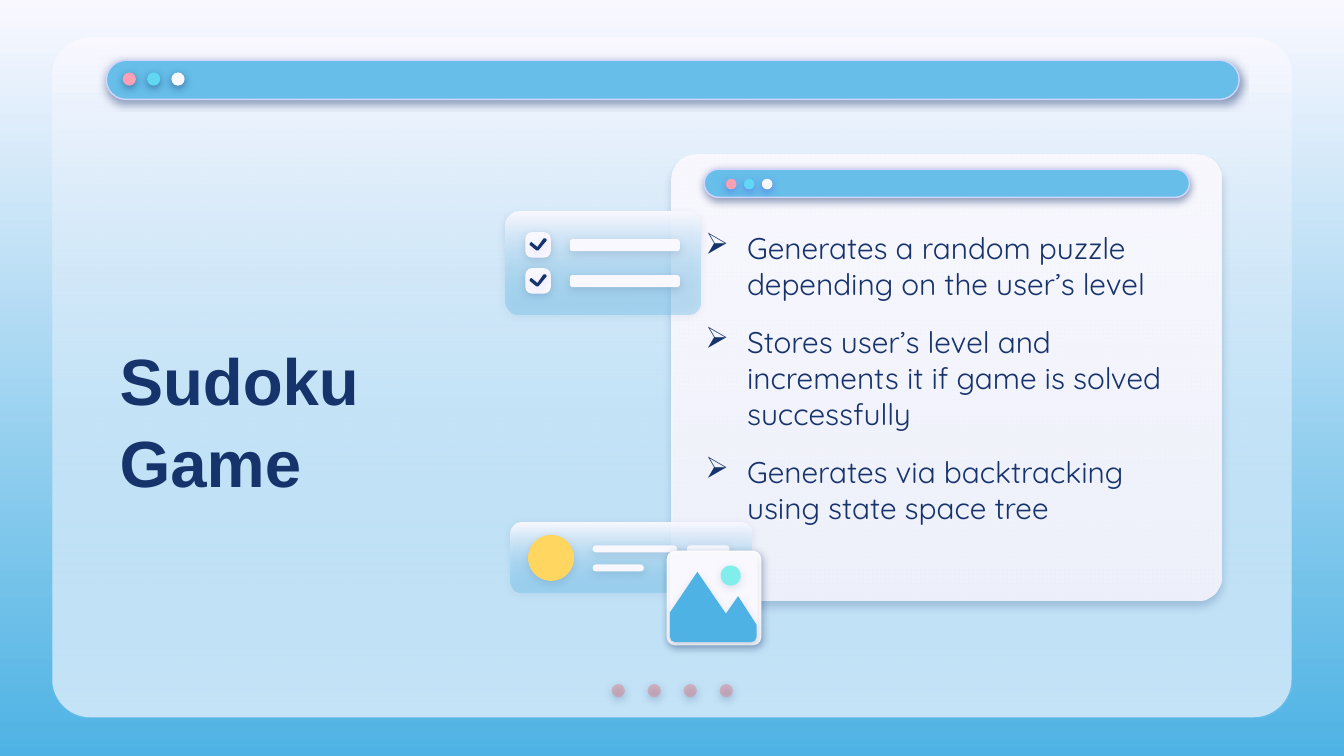
from collections import namedtuple

from lxml import etree
from pptx import Presentation
from pptx import util as u
from pptx.dml.color import RGBColor
from pptx.enum import shapes, text
from pptx.oxml import ns

NAVY = RGBColor(0x17, 0x33, 0x6B)
INDIGO = RGBColor(0x53, 0x52, 0xEE)
BLUE = RGBColor(0x66, 0xBE, 0xE9)
DEEP_BLUE = RGBColor(0x4E, 0xB3, 0xE4)
CYAN = RGBColor(0x60, 0xD8, 0xF4)
AQUA = RGBColor(0x81, 0xEE, 0xEB)
LAVENDER = RGBColor(0xD2, 0xD6, 0xFF)
PALE = RGBColor(0xF9, 0xF8, 0xFF)
WHITE = RGBColor(0xFF, 0xFF, 0xFF)
PINK = RGBColor(0xFD, 0xA0, 0xB4)
ROSE = RGBColor(0xE2, 0x7B, 0x83)
YELLOW = RGBColor(0xFF, 0xD6, 0x5F)

ROUND = shapes.MSO_SHAPE.ROUNDED_RECTANGLE
OVAL = shapes.MSO_SHAPE.OVAL
Box = namedtuple("Box", "left top width height")
TICK = [(0.38, 0.13), (0.35, 0.13), (0.23, 0.3), (0.11, 0.2),
        (0.09, 0.23), (0.21, 0.33), (0.24, 0.33), (0.39, 0.15)]
MOUNTAINS = [(0.58, 0.4), (0.06, 1.17), (0.06, 1.63), (0.09, 1.7), (0.16, 1.73), (1.6, 1.73),
             (1.67, 1.7), (1.7, 1.63), (1.7, 1.4), (1.35, 0.86), (1.12, 1.19)]
FEATURES = [
    "Generates a random puzzle depending on the user’s level",
    "Stores user’s level and increments it if game is solved successfully",
    "Generates via backtracking using state space tree",
]


def apply(target, values):
    """Set each named attribute of the target."""
    for name, value in values.items():
        setattr(target, name, value)


def add_node(parent, tag, **attributes):
    """Append a drawing element with the given attributes."""
    node = etree.SubElement(parent, ns.qn(tag))
    for name, value in attributes.items():
        node.set(name, str(value))
    return node


def inside(box, left, top, width, height):
    """Return a box placed relative to another one."""
    return Box(box.left + left, box.top + top, width, height)


def fade(fill, start, end):
    """Fill from top to bottom with two colours."""
    fill.gradient()
    fill.gradient_angle = 270
    for stop, colour in zip(fill.gradient_stops, (start, end)):
        stop.color.rgb = colour


def style(shape, colours, alpha=100, line=None, glow=NAVY, strength=15, distance=1.5, angle=90):
    """Give a shape its fill, outline and shadow."""
    if len(colours) == 2:
        fade(shape.fill, *colours)
    else:
        shape.fill.solid()
        shape.fill.fore_color.rgb = colours[0]
    if alpha < 100:
        last = list(shape._element.spPr.iter(ns.qn("a:srgbClr")))[-1]
        add_node(last, "a:alpha", val=alpha * 1000)
    if line is None:
        shape.line.fill.background()
    else:
        shape.line.color.rgb = line
        shape.line.width = u.Pt(0.75)
    shape.shadow.inherit = False
    if strength:
        effects = shape._element.spPr.find(ns.qn("a:effectLst"))
        shadow = add_node(effects, "a:outerShdw", blurRad=u.Pt(4.5), dist=u.Pt(distance),
                          dir=angle * 60000, algn="bl", rotWithShape=0)
        colour = add_node(shadow, "a:srgbClr", val=glow)
        add_node(colour, "a:alpha", val=strength * 1000)


def add_shape(page, kind, box, *colours, corner=None, **look):
    """Draw one styled preset shape."""
    shape = page.shapes.add_shape(kind, *map(u.Cm, box))
    if corner is not None:
        shape.adjustments[0] = corner
    style(shape, colours, **look)


def add_outline(page, box, points, colour, **look):
    """Draw a closed outline from points relative to a box."""
    corners = [(u.Cm(box.left + x), u.Cm(box.top + y)) for x, y in points]
    builder = page.shapes.build_freeform(*corners[0])
    builder.add_line_segments(corners[1:])
    style(builder.convert_to_shape(), [colour], **look)


def add_dots(page, box, step, colours, **look):
    """Draw a row of dots starting at a box."""
    for index, colour in enumerate(colours):
        spot = inside(box, index * step, 0, box.width, box.height)
        add_shape(page, OVAL, spot, colour, strength=50, **look)


def add_title_bar(page, box, dot, step, glow):
    """Draw a window bar with its three buttons."""
    add_shape(page, ROUND, box, BLUE, corner=0.5, line=LAVENDER, strength=50)
    add_dots(page, inside(box, *dot), step, (PINK, CYAN, PALE), glow=glow)


def add_window(page, box):
    """Draw the large window with its bar and footer dots."""
    add_shape(page, ROUND, box, PALE, corner=0.056, strength=0)
    add_shape(page, ROUND, box, PALE, BLUE, corner=0.056, alpha=35, strength=0)
    add_dots(page, inside(box, 10.57, 12.22, 0.25, 0.25), 0.68, [ROSE] * 4, alpha=44)
    add_title_bar(page, inside(box, 1.02, 0.43, 21.41, 0.74), (0.31, 0.23, 0.25, 0.25), 0.46, NAVY)


def add_text(page, box):
    """Add an empty wrapped text frame centred vertically."""
    frame = page.shapes.add_textbox(*map(u.Cm, box)).text_frame
    margins = {f"margin_{side}": u.Cm(0.25) for side in ("left", "top", "right", "bottom")}
    apply(frame, {"word_wrap": True, "vertical_anchor": text.MSO_ANCHOR.MIDDLE, **margins})
    return frame


def add_span(para, words, **font):
    """Add a navy run of text."""
    span = para.add_run()
    span.text = words
    apply(span.font, font)
    span.font.color.rgb = NAVY


def add_heading(page, box):
    """Write the slide heading on two lines."""
    para = add_text(page, box).paragraphs[0]
    para.line_spacing = 1.04
    font = {"name": "Arial", "size": u.Pt(35), "bold": True}
    add_span(para, "Sudoku", **font)
    para.add_line_break()
    add_span(para, "Game", **font)


def add_features(page, box):
    """Write the bulleted features."""
    frame = add_text(page, box)
    for index, feature in enumerate(FEATURES):
        para = frame.add_paragraph() if index else frame.paragraphs[0]
        para.space_after = u.Pt(12)
        add_span(para, feature, name="Quicksand", size=u.Pt(16))
        layout = para._p.get_or_add_pPr()
        layout.set("marL", str(u.Cm(0.79)))
        layout.set("indent", str(-u.Cm(0.79)))
        add_node(add_node(layout, "a:buClr"), "a:srgbClr", val=NAVY)
        add_node(layout, "a:buChar", char="➢")


def add_card(page, box):
    """Draw the feature card with its bar and text."""
    add_shape(page, ROUND, box, PALE, PALE, corner=0.056, alpha=87,
              strength=22, distance=3.8, angle=91)
    add_title_bar(page, inside(box, 0.61, 0.28, 9.17, 0.53), (0.41, 0.18, 0.2, 0.2), 0.34, INDIGO)
    add_features(page, inside(box, 0.38, 1.09, 9.6, 6.25))


def add_checklist(page, box):
    """Draw the tile with two ticked rows."""
    add_shape(page, ROUND, box, PALE, BLUE, corner=0.13, alpha=35)
    for row in range(2):
        check = inside(box, 0.38, 0.38 + row * 0.68, 0.48, 0.48)
        add_shape(page, ROUND, inside(check, 0.84, 0.13, 2.08, 0.23), PALE, corner=0.25)
        add_shape(page, ROUND, check, PALE, corner=0.26)
        add_outline(page, check, TICK, NAVY, line=NAVY, glow=INDIGO)


def add_profile(page, box):
    """Draw the tile with an avatar and text lines."""
    add_shape(page, ROUND, box, PALE, BLUE, corner=0.15, alpha=35, strength=13)
    add_shape(page, OVAL, inside(box, 0.33, 0.23, 0.87, 0.87), YELLOW, strength=13)
    for left, top, width in ((1.55, 0.43, 1.6), (3.33, 0.43, 0.81), (1.55, 0.79, 0.97)):
        add_shape(page, ROUND, inside(box, left, top, width, 0.13), PALE, corner=0.5, strength=13)


def add_photo(page, box):
    """Draw the framed landscape icon."""
    add_shape(page, ROUND, box, WHITE, corner=0.09, strength=33, angle=64)
    add_shape(page, ROUND, inside(box, 0.06, 0.06, 1.66, 1.66), PALE, corner=0.06, strength=13)
    add_outline(page, box, MOUNTAINS, DEEP_BLUE, strength=13)
    add_shape(page, OVAL, inside(box, 1.02, 0.28, 0.38, 0.38), AQUA, strength=13)


def main():
    """Build and save the slide."""
    deck = Presentation()
    apply(deck, {"slide_width": u.Cm(25.4), "slide_height": u.Cm(14.29)})
    page = deck.slides.add_slide(deck.slide_layouts[6])
    fade(page.background.fill, PALE, DEEP_BLUE)
    add_window(page, Box(0.99, 0.71, 23.42, 12.85))
    add_heading(page, Box(2.01, 5.94, 9.17, 3.96))
    add_card(page, Box(12.7, 2.92, 10.39, 8.43))
    add_checklist(page, Box(9.55, 4.01, 3.68, 1.93))
    add_profile(page, Box(9.65, 9.88, 4.55, 1.32))
    add_photo(page, Box(12.6, 10.41, 1.79, 1.79))
    deck.save("out.pptx")


if __name__ == "__main__":
    main()
